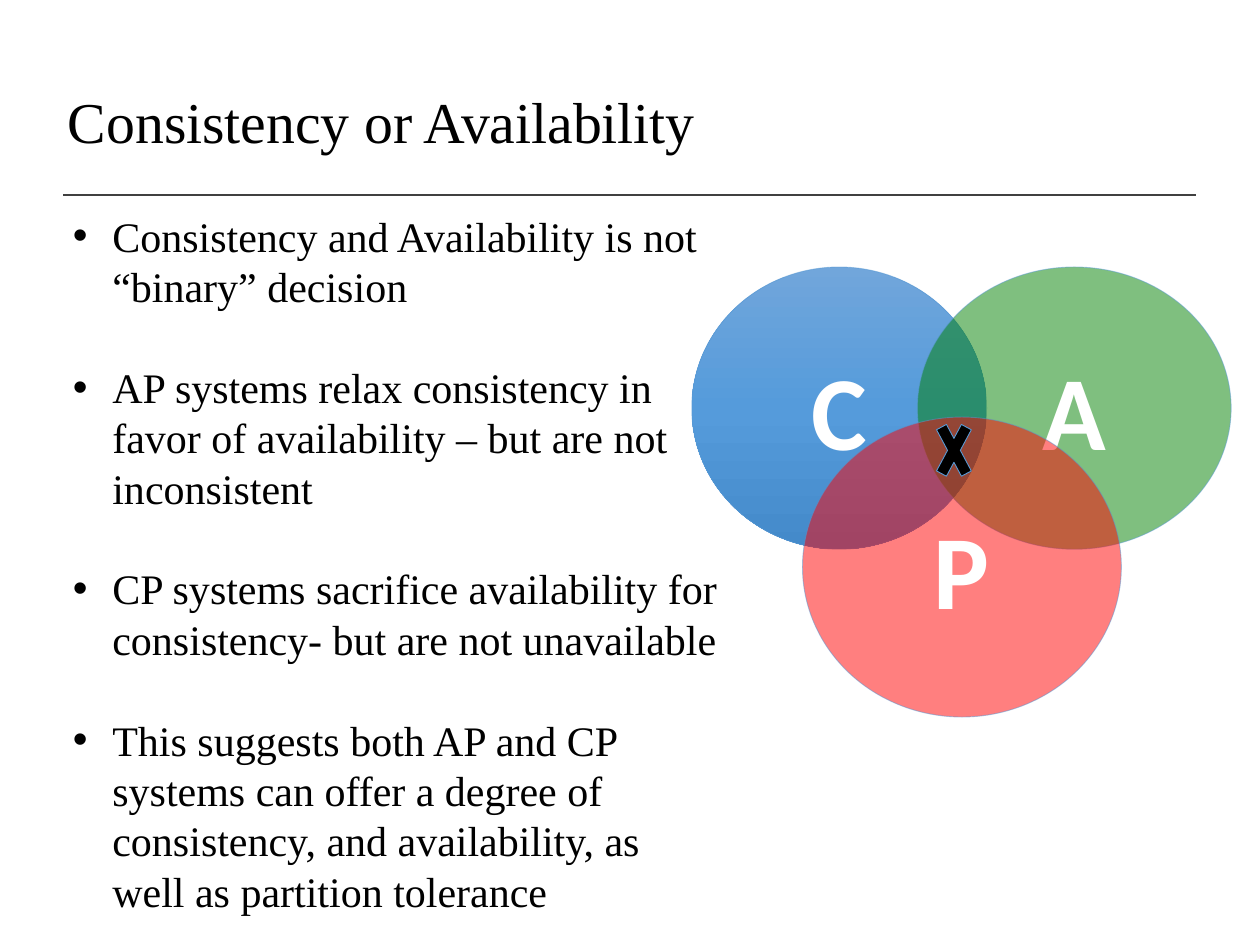
from lxml.etree import SubElement
from pptx import Presentation
from pptx.dml.color import RGBColor
from pptx.enum.shapes import MSO_CONNECTOR as CONN, MSO_SHAPE as SHAPE
from pptx.enum.text import MSO_ANCHOR as ANCHOR, PP_ALIGN as ALIGN
from pptx.oxml import parse_xml
from pptx.oxml.ns import nsdecls, qn
from pptx.util import Pt

BLACK = RGBColor(0x00, 0x00, 0x00)
WHITE = RGBColor(0xFF, 0xFF, 0xFF)
GRAY = RGBColor(0x40, 0x40, 0x40)
GREEN = RGBColor(0x00, 0x80, 0x00)
RED = RGBColor(0xFF, 0x00, 0x00)
EDGE = RGBColor(0x5B, 0x9B, 0xD5)
SOFT_EDGE = RGBColor(0x56, 0x98, 0xD3)
BLUES = (
    (0, RGBColor(0x71, 0xA6, 0xDB)),
    (50, RGBColor(0x55, 0x9B, 0xDB)),
    (100, RGBColor(0x44, 0x8A, 0xCA)),
)
SERIF = "Times New Roman"
SANS = "Calibri"
LINE_PITCH = 28.8

POINTS = (
    "Consistency and Availability is not “binary” decision",
    "AP systems relax consistency in favor of availability – but are not inconsistent",
    "CP systems sacrifice availability for consistency- but are not unavailable",
    "This suggests both AP and CP systems can offer a degree of consistency, "
    "and availability, as well as partition tolerance",
)


def add_run(p, text, size, font, color, bold=False):
    r = p.add_run()
    r.text = text
    r.font.size = Pt(size)
    r.font.name = font
    r.font.bold = bold
    r.font.color.rgb = color


def add_text_frame(slide, box, anchor):
    tf = slide.shapes.add_textbox(*map(Pt, box)).text_frame
    tf.word_wrap = True
    tf.vertical_anchor = anchor
    return tf


def add_title(slide, text):
    p = add_text_frame(slide, (31.7, 33.8, 671.8, 74.9), ANCHOR.MIDDLE).paragraphs[0]
    p.line_spacing = 0.9
    add_run(p, text, 33, SERIF, BLACK)


def add_rule(slide):
    line = slide.shapes.add_connector(CONN.STRAIGHT, Pt(36), Pt(111.6), Pt(683.3), Pt(111.6))
    line.line.color.rgb = GRAY
    line.line.width = Pt(1)
    SubElement(line._element.spPr, qn("a:effectLst"))


def add_bullets(slide, items):
    tf = add_text_frame(slide, (34.6, 116.6, 385.2, 414.7), ANCHOR.TOP)
    for i, item in enumerate(items):
        p = tf.add_paragraph() if i else tf.paragraphs[0]
        p.line_spacing = Pt(LINE_PITCH)
        p.space_before = Pt(LINE_PITCH if i else 0)
        pPr = p._p.get_or_add_pPr()
        pPr.set("marL", str(Pt(22.5)))
        pPr.set("indent", str(-Pt(22.5)))
        SubElement(pPr, qn("a:buFont"), typeface="Arial")
        SubElement(pPr, qn("a:buChar"), char="•")
        add_run(p, item, 24, SERIF, BLACK)


def set_alpha(fill, percent):
    for color in fill._xPr.iter(qn("a:srgbClr")):
        SubElement(color, qn("a:alpha"), val=str(percent * 1000))


def set_gradient(sp, stops):
    sp.fill.gradient()
    grad = sp._element.spPr.find(qn("a:gradFill"))
    gs_lst = grad.find(qn("a:gsLst"))
    for old in list(gs_lst):
        gs_lst.remove(old)
    for pos, color in stops:
        gs_lst.append(parse_xml(
            f'<a:gs {nsdecls("a")} pos="{pos * 1000}"><a:srgbClr val="{color}"/></a:gs>'))
    sp.fill.gradient_angle = 270


def add_shape(slide, kind, box, edge):
    sp = slide.shapes.add_shape(kind, *map(Pt, box))
    sp.shadow.inherit = False
    sp.line.color.rgb = edge
    sp.line.width = Pt(0.5)
    return sp


def add_circle(slide, letter, box, edge, color=None):
    sp = add_shape(slide, SHAPE.OVAL, box, edge)
    if color is None:
        set_gradient(sp, BLUES)
    else:
        sp.fill.solid()
        sp.fill.fore_color.rgb = color
        set_alpha(sp.fill, 50)
    if edge == SOFT_EDGE:
        set_alpha(sp.line.fill, 50)
    tf = sp.text_frame
    tf.vertical_anchor = ANCHOR.MIDDLE
    p = tf.paragraphs[0]
    p.alignment = ALIGN.CENTER
    add_run(p, letter, 60, SANS, WHITE, bold=True)


def add_cross(slide):
    sp = add_shape(slide, SHAPE.MATH_MULTIPLY, (531.4, 231.8, 27.4, 51.1), EDGE)
    sp.fill.solid()
    sp.fill.fore_color.rgb = BLACK


def main():
    prs = Presentation()
    prs.slide_width, prs.slide_height = Pt(720), Pt(540)
    slide = prs.slides.add_slide(prs.slide_layouts[6])
    add_rule(slide)
    add_title(slide, "Consistency or Availability")
    add_circle(slide, "C", (395.3, 152.6, 168.5, 161.3), SOFT_EDGE)
    add_circle(slide, "A", (524.2, 152.6, 179.3, 161.3), EDGE, GREEN)
    add_circle(slide, "P", (458.6, 238.3, 182.2, 171.4), SOFT_EDGE, RED)
    add_cross(slide)
    add_bullets(slide, POINTS)
    prs.save("out.pptx")


if __name__ == "__main__":
    main()
